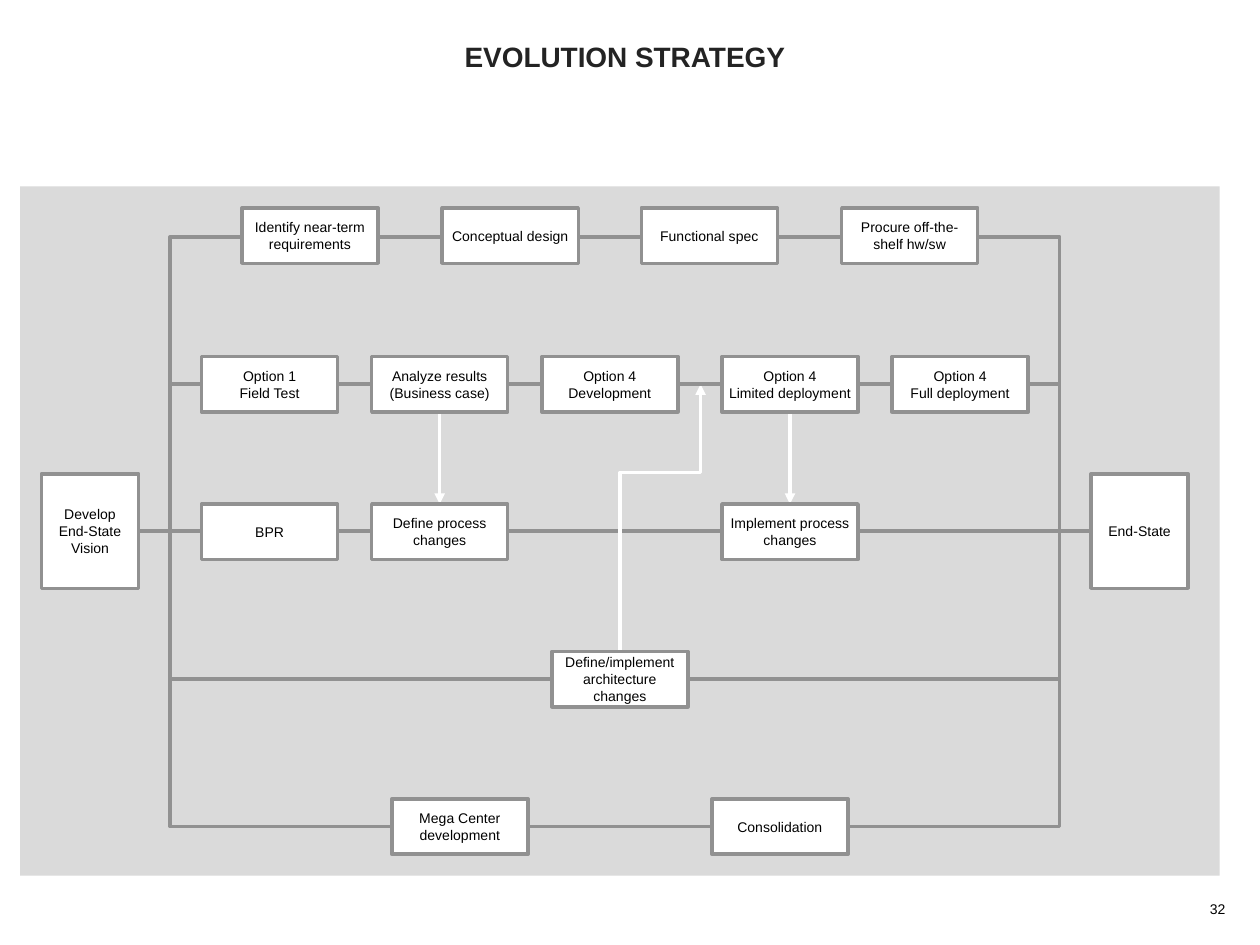
import lxml.etree
import pptx
import pptx.dml.color
import pptx.enum.shapes
import pptx.enum.text
import pptx.oxml.ns
import pptx.util
from pptx.util import Inches

COLORS = {"panel": "DADADA", "gray": "919191", "white": "FFFFFF",
          "title": "232323", "black": "000000"}
BOX_WIDTH, BOX_HEIGHT = 1.08, 0.44
ROW_TOPS = [1.65, 2.83, 4.0, 5.17, 6.34]
MIDDLE = 4.22
LEFT_RAIL, RIGHT_RAIL = 1.35, 8.41


def rgb(name):
    return pptx.dml.color.RGBColor.from_string(COLORS[name])


def write_text(shape, text, size=8, color="black", bold=False, inset=0.05,
               anchor=pptx.enum.text.MSO_ANCHOR.MIDDLE, line_spacing=None):
    frame = shape.text_frame
    frame.text = text
    frame.word_wrap = True
    frame.auto_size = pptx.enum.text.MSO_AUTO_SIZE.NONE
    frame.vertical_anchor = anchor
    frame.margin_left = frame.margin_right = Inches(inset)
    frame.margin_top = frame.margin_bottom = Inches(0.05)
    for paragraph in frame.paragraphs:
        paragraph.alignment = pptx.enum.text.PP_ALIGN.CENTER
        paragraph.line_spacing = line_spacing
        for run in paragraph.runs:
            run.font.name = "Arial"
            run.font.size = pptx.util.Pt(size)
            run.font.bold = bold
            run.font.color.rgb = rgb(color)


presentation = pptx.Presentation()
presentation.slide_width = Inches(10)
presentation.slide_height = Inches(7.5)
slide = presentation.slides.add_slide(presentation.slide_layouts[5])
shapes = slide.shapes

title = shapes.title
title.left, title.top = Inches(0.25), Inches(0.25)
title.width, title.height = Inches(9.42), Inches(0.42)
write_text(title, "EVOLUTION STRATEGY", size=16, color="title", bold=True,
           inset=0.1, line_spacing=0.9)

page_number = shapes.add_textbox(Inches(9.5), Inches(7.1), Inches(0.33), Inches(0.23))
write_text(page_number, "32", anchor=pptx.enum.text.MSO_ANCHOR.TOP)

panel = shapes.add_shape(pptx.enum.shapes.MSO_SHAPE.RECTANGLE,
                         Inches(0.16), Inches(1.48), Inches(9.52), Inches(5.47))
panel.shadow.inherit = False
panel.fill.solid()
panel.fill.fore_color.rgb = rgb("panel")
panel.line.fill.background()

# Connectors lie behind the boxes and are joined once the boxes exist.
analysis_arrow, deployment_arrow, main_line = [
    shapes.add_connector(pptx.enum.shapes.MSO_CONNECTOR.STRAIGHT, 0, 0, 0, 0)
    for _ in range(3)]

# Elbow paths: the architecture feedback, then one loop for each outer row.
paths = [[(4.92, 5.16), (4.92, 3.75), (5.56, 3.75), (5.56, 3.05)]]
for row_middle in (1.88, 6.56, 5.39, 3.05):
    paths.append([(0.95, MIDDLE), (LEFT_RAIL, MIDDLE), (LEFT_RAIL, row_middle),
                  (RIGHT_RAIL, row_middle), (RIGHT_RAIL, MIDDLE), (8.89, MIDDLE)])
elbows = []
for points in paths:
    start, *rest = [(Inches(x), Inches(y)) for x, y in points]
    builder = shapes.build_freeform(*start)
    builder.add_line_segments(rest, close=False)
    elbow = builder.convert_to_shape()
    elbow.shadow.inherit = False
    elbow.fill.background()
    elbows.append(elbow)
feedback, *loops = elbows

for connector in (analysis_arrow, deployment_arrow, main_line):
    properties = connector._element.spPr
    lxml.etree.SubElement(properties, pptx.oxml.ns.qn("a:effectLst"))
for line_shape in (main_line, *loops):
    line_shape.line.color.rgb = rgb("gray")
    line_shape.line.width = pptx.util.Pt(2)
for arrow in (analysis_arrow, deployment_arrow, feedback):
    arrow.line.color.rgb = rgb("white")
    arrow.line.width = pptx.util.Pt(2)
    outline = arrow.line._get_or_add_ln()
    lxml.etree.SubElement(outline, pptx.oxml.ns.qn("a:tailEnd"), type="triangle")

rows = [
    [(1.92, "Identify near-term requirements"), (3.51, "Conceptual design"),
     (5.09, "Functional spec"), (6.68, "Procure off-the-shelf hw/sw")],
    [(1.6, "Option 1\nField Test"), (2.95, "Analyze results (Business case)"),
     (4.3, "Option 4\nDevelopment"), (5.73, "Option 4\nLimited deployment"),
     (7.08, "Option 4\nFull deployment")],
    [(1.6, "BPR"), (2.95, "Define process changes"),
     (5.73, "Implement process changes")],
    [(4.38, "Define/implement architecture changes")],
    [(3.11, "Mega Center development"), (5.65, "Consolidation")],
]
box_specs = [(left, top, BOX_WIDTH, BOX_HEIGHT, text)
             for top, row in zip(ROW_TOPS, rows) for left, text in row]
box_specs += [(0.33, 3.76, 0.77, 0.91, "Develop End-State Vision"),
              (8.66, 3.76, 0.77, 0.91, "End-State")]
boxes = {}
for left, top, width, height, text in box_specs:
    box = shapes.add_shape(pptx.enum.shapes.MSO_SHAPE.RECTANGLE, Inches(left),
                           Inches(top), Inches(width), Inches(height))
    box.shadow.inherit = False
    box.fill.solid()
    box.fill.fore_color.rgb = rgb("white")
    box.line.color.rgb = rgb("gray")
    box.line.width = pptx.util.Pt(2)
    write_text(box, text)
    boxes[text] = box

for connector, source, source_side, target, target_side in [
    (analysis_arrow, "Analyze results (Business case)", 2, "Define process changes", 0),
    (deployment_arrow, "Option 4\nLimited deployment", 2, "Implement process changes", 0),
    (main_line, "Develop End-State Vision", 3, "End-State", 1),
]:
    connector.begin_connect(boxes[source], source_side)
    connector.end_connect(boxes[target], target_side)

presentation.save("out.pptx")
